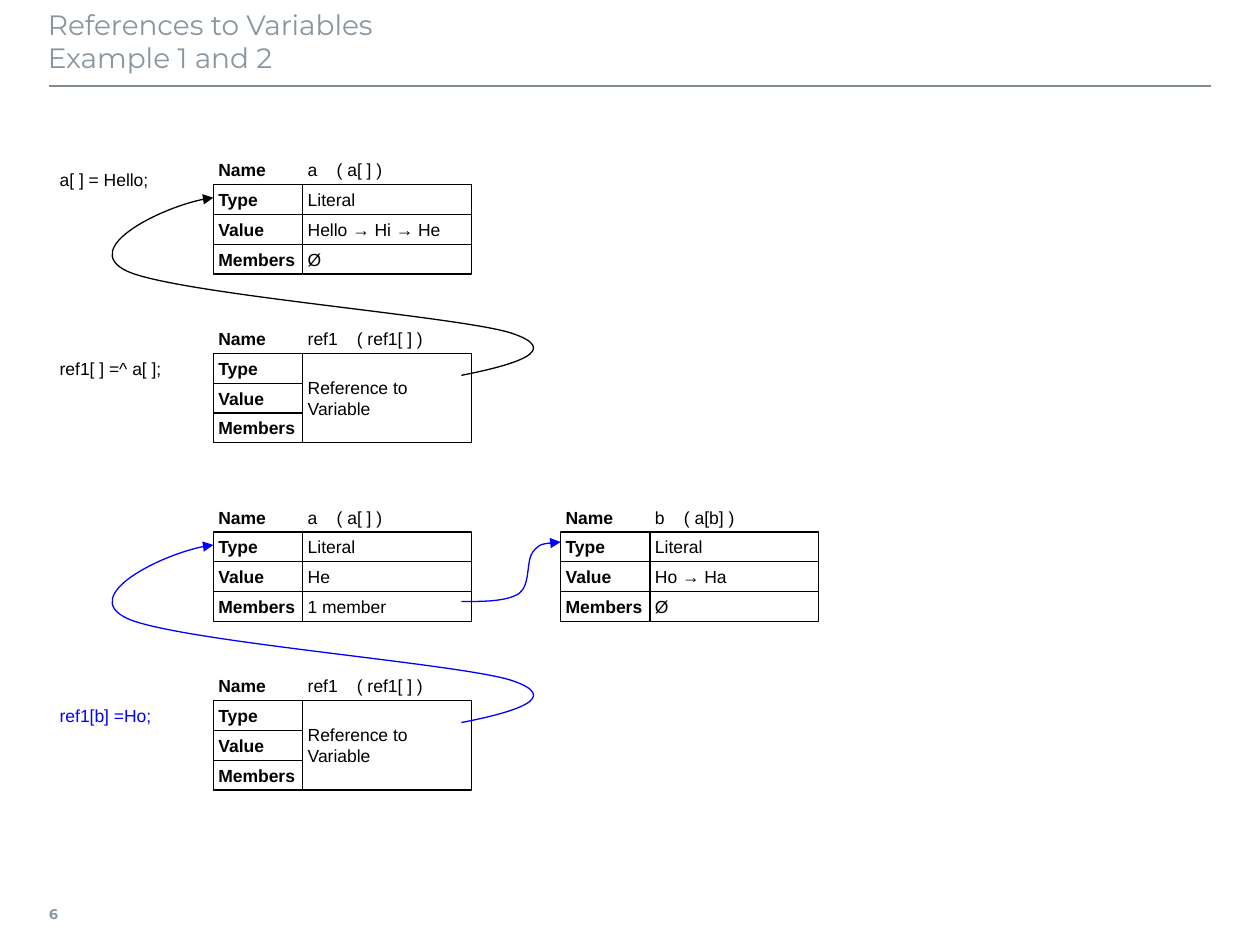
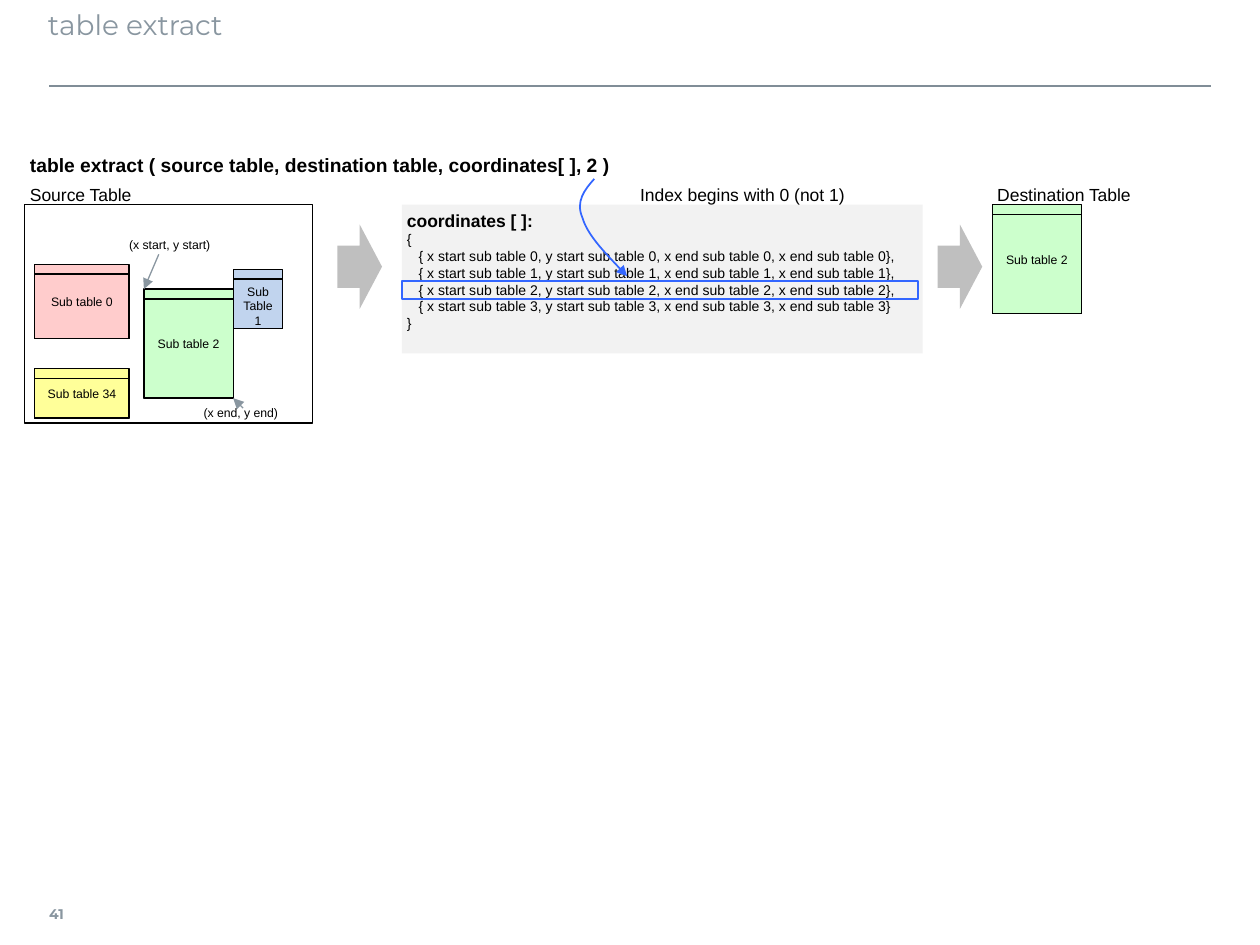
import pptx
import pptx.dml.color
import pptx.enum.shapes
import pptx.enum.text
import pptx.oxml
import pptx.oxml.ns
import pptx.util
from lxml import etree

RGBColor = pptx.dml.color.RGBColor
Inches = pptx.util.Inches
Align = pptx.enum.text.PP_ALIGN
Anchor = pptx.enum.text.MSO_ANCHOR
Preset = pptx.enum.shapes.MSO_SHAPE
qn = pptx.oxml.ns.qn

BLACK = RGBColor(0x00, 0x00, 0x00)
BLUE = RGBColor(0x00, 0x00, 0xFF)
MARK_BLUE = RGBColor(0x33, 0x66, 0xFF)
TITLE_GREY = RGBColor(0x89, 0x96, 0xA0)
RULE_GREY = RGBColor(0x80, 0x8D, 0x97)
ARROW_GREY = RGBColor(0xBF, 0xBF, 0xBF)
CODE_GREY = RGBColor(0xF2, 0xF2, 0xF2)
PINK = RGBColor(0xFF, 0xCC, 0xCC)
GREEN = RGBColor(0xCC, 0xFF, 0xCC)
PALE_BLUE = RGBColor(0xC1, 0xD4, 0xEE)
YELLOW = RGBColor(0xFF, 0xFF, 0x99)

# Grid of 2 mm cells, counted from a small margin
CELL = pptx.util.Mm(2)
LEFT, TOP = Inches(0.04), Inches(0.05)
KEY_COLS, VALUE_COLS, ROW = 9, 17, 3

# Bezier points from a reference up to its variable, rows from the upper record
REFERENCE_LOOP = [(46, 22.2), (51.1, 21.2), (56.5, 19.7), (50.9, 17.9),
                  (45.3, 16.2), (17.3, 14), (12.3, 11.7),
                  (7.4, 9.4), (16.8, 4.7), (21, 4.3)]
MEMBER_CURVE = [(46, 60), (48.3, 60), (50.5, 60), (51.8, 59.2),
                (53, 58.3), (52.5, 55.9), (53.2, 55),
                (53.9, 54.1), (55, 54.1), (56, 54)]
INDEX_CURVE = [(59.4, 17.4), (58.4, 18.5), (57.5, 19.7), (58.2, 21.3),
               (58.7, 23), (60.7, 25.1), (62.7, 27.2)]


def grid(col, row):
    return round(LEFT + col * CELL), round(TOP + row * CELL)


def bezier(p0, p1, p2, p3, t):
    s = 1 - t
    return tuple(round(s**3 * a + 3 * s * s * t * b + 3 * s * t * t * c + t**3 * d)
                 for a, b, c, d in zip(p0, p1, p2, p3))


class Deck:
    """Holds the style and the slide being filled."""

    def __init__(self):
        self.show = pptx.Presentation()
        self.show.slide_width, self.show.slide_height = Inches(10), Inches(7.5)
        self.slide = None

    def share(self, x, y):
        return round(x * self.show.slide_width), round(y * self.show.slide_height)

    def new_slide(self, title, number):
        """Start a slide with its title, rule and page number."""
        self.slide = self.show.slides.add_slide(self.show.slide_layouts[5])
        self.rule(self.share(0.039, 0.091), self.share(0.961, 0.091), RULE_GREY, 1)
        page = self.slide.shapes.add_textbox(
            *self.share(0.039, 0.941), *self.share(0.035, 0.052))
        self.set_text(page, [number], 8, TITLE_GREY, True, font="Montserrat",
                      insets=(0, 0.05, 0.08, 0.05))
        heading = self.slide.shapes.title
        heading.left, heading.top = self.share(0.038, 0.001)
        heading.width, heading.height = self.share(0.921, 0.084)
        self.set_text(heading, [title], 16, TITLE_GREY, font="Montserrat",
                      anchor=Anchor.TOP, insets=(0, 0.05, 0.1, 0.05), wrap=True)

    def set_text(self, holder, lines, size=10, color=BLACK, bold=False, font="Arial",
                 align=Align.LEFT, anchor=Anchor.MIDDLE, insets=(0.04,) * 4,
                 wrap=False, tab=None):
        frame = holder.text_frame
        frame.auto_size = pptx.enum.text.MSO_AUTO_SIZE.NONE
        frame.word_wrap = wrap
        frame.vertical_anchor = anchor
        (frame.margin_left, frame.margin_top,
         frame.margin_right, frame.margin_bottom) = map(Inches, insets)
        for index, line in enumerate(lines):
            paragraph = frame.add_paragraph() if index else frame.paragraphs[0]
            paragraph.text = line
            paragraph.alignment = align
            if tab:
                stops = etree.SubElement(paragraph._p.get_or_add_pPr(), qn("a:tabLst"))
                etree.SubElement(stops, qn("a:tab"), pos=str(Inches(tab)), algn="l")
            paragraph.font.name = font
            paragraph.font.size = pptx.util.Pt(size)
            paragraph.font.bold = bold
            paragraph.font.color.rgb = color

    def label(self, col, row, cols, rows, text, **style):
        box = self.slide.shapes.add_textbox(
            *grid(col, row), round(cols * CELL), round(rows * CELL))
        self.set_text(box, [text], **style)

    def block(self, col, row, cols, rows, lines=(), fill=None, line=BLACK,
              weight=0.75, preset=Preset.RECTANGLE, **style):
        shape = self.slide.shapes.add_shape(
            preset, *grid(col, row), round(cols * CELL), round(rows * CELL))
        self.paint(shape, line, weight, fill)
        if lines:
            self.set_text(shape, lines, **style)
        return shape

    def paint(self, shape, line, weight, fill=None):
        shape.shadow.inherit = False
        if fill is None:
            shape.fill.background()
        else:
            shape.fill.solid()
            shape.fill.fore_color.rgb = fill
        if line is None:
            shape.line.fill.background()
        else:
            shape.line.color.rgb = line
            shape.line.width = pptx.util.Pt(weight)

    def arrowhead(self, shape):
        etree.SubElement(shape.line._get_or_add_ln(), qn("a:tailEnd"), type="triangle")

    def rule(self, start, end, color, weight, arrow=False):
        line = self.slide.shapes.add_connector(
            pptx.enum.shapes.MSO_CONNECTOR.STRAIGHT, *start, *end)
        line.line.color.rgb = color
        line.line.width = pptx.util.Pt(weight)
        if arrow:
            self.arrowhead(line)
        etree.SubElement(line._element.spPr, qn("a:effectLst"))

    def curve(self, points, color, weight=0.75, from_row=0):
        """Draw joined cubic curves ending in an arrowhead."""
        points = [grid(col, row + from_row) for col, row in points]
        pieces = [points[i:i + 4] for i in range(0, len(points) - 1, 3)]
        # Points along the curve give the shape its true extents
        trace = [bezier(*piece, step / 20) for piece in pieces for step in range(1, 21)]
        builder = self.slide.shapes.build_freeform(*points[0])
        builder.add_line_segments(trace, close=False)
        shape = builder.convert_to_shape()
        outline = shape._element.find(".//" + qn("a:path"))
        for segment in outline.findall(qn("a:lnTo")):
            outline.remove(segment)
        for piece in pieces:
            cubic = etree.SubElement(outline, qn("a:cubicBezTo"))
            for x, y in piece[1:]:
                etree.SubElement(cubic, qn("a:pt"),
                                 x=str(x - shape.left), y=str(y - shape.top))
        self.paint(shape, color, weight)
        self.arrowhead(shape)

    def record(self, col, row, name, access, values, tab=0.23):
        """Draw a variable: its name above, then type, value and members."""
        value_col = col + KEY_COLS
        self.label(col, row, KEY_COLS, ROW, "Name", bold=True)
        self.label(value_col, row, VALUE_COLS, ROW, f"{name}\t{access}", tab=tab)
        for index, key in enumerate(["Type", "Value", "Members"], 1):
            self.block(col, row + index * ROW, KEY_COLS, ROW, [key], bold=True)
        if values:
            for index, value in enumerate(values, 1):
                self.block(value_col, row + index * ROW, VALUE_COLS, ROW, [value])
        else:
            self.block(value_col, row + ROW, VALUE_COLS, 3 * ROW,
                       ["Reference to", "Variable"])

    def sub_table(self, col, row, cols, rows, lines, fill, inset_top=0.04):
        """Draw a small table with a one-row header strip."""
        self.block(col, row, cols, rows, lines, fill, size=7, align=Align.CENTER,
                   insets=(0.04, inset_top, 0.04, 0.04))
        self.block(col, row + 1, cols, rows - 1)


def references_slide(deck):
    deck.new_slide("References to Variables\vExample 1 and 2", "6")

    # Example 1
    deck.label(5, 16, 12, ROW, "a[ ] = Hello;")
    deck.record(21, 15, "a", "( a[ ] )", ["Literal", "Hello → Hi → He", "Ø"])
    deck.label(5, 35, 12, ROW, "ref1[ ] =^ a[ ];")
    deck.record(21, 32, "ref1", "( ref1[ ] )", None, tab=0.39)
    deck.curve(REFERENCE_LOOP, BLACK, from_row=15)

    # Example 2
    deck.record(21, 50, "a", "( a[ ] )", ["Literal", "He", "1 member"])
    deck.record(21, 67, "ref1", "( ref1[ ] )", None, tab=0.39)
    deck.curve(REFERENCE_LOOP, BLUE, from_row=50)
    deck.label(5, 70, 12, ROW, "ref1[b] =Ho;", color=BLUE)
    deck.record(56, 50, "b", "( a[b] )", ["Literal", "Ho → Ha", "Ø"])
    deck.curve(MEMBER_CURVE, BLUE)


def extract_slide(deck):
    deck.new_slide("table extract", "41")
    deck.label(2, 15, 15, 2, "table extract ( source table, destination table, "
               "coordinates[ ], 2 )", size=11, bold=True)

    # Source table with its sub tables
    deck.label(2, 18, 15, 2, "Source Table")
    deck.block(2, 20, 29, 22)
    deck.sub_table(3, 26, 9.5, 7.5, ["Sub table 0"], PINK)
    deck.sub_table(14, 28.5, 9, 11, ["Sub table 2"], GREEN)
    deck.sub_table(23, 26.5, 5, 6, ["Sub", "Table", "1"], PALE_BLUE, inset_top=0.15)
    deck.sub_table(3, 36.5, 9.5, 5, ["Sub table 34"], YELLOW)
    deck.label(12, 23, 11.5, 2, "(x start, y start)", size=7)
    deck.rule(grid(15.5, 25), grid(14, 28.5), TITLE_GREY, 0.75, arrow=True)
    deck.rule(grid(24, 40.5), grid(23, 39.5), TITLE_GREY, 0.75, arrow=True)
    deck.label(19.5, 40, 9, 2, "(x end, y end)", size=7)

    # Coordinates list
    entries = ",\n".join(
        f"   {{ x start sub table {n}, y start sub table {n}, "
        f"x end sub table {n}, x end sub table {n}}}" for n in range(4))
    code = deck.block(40, 20, 52.5, 15,
                      ["coordinates [ ]:", "{", *entries.split("\n"), "}"],
                      CODE_GREY, None, size=8, anchor=Anchor.TOP)
    code_heading = code.text_frame.paragraphs[0].font
    code_heading.size, code_heading.bold = pptx.util.Pt(10), True

    # Destination table
    deck.sub_table(99.5, 20, 9, 11, ["Sub table 2"], GREEN)
    deck.label(99.5, 18, 15, 2, "Destination Table")

    # Flow arrows, chosen entry and index pointer
    for col in (33.5, 94):
        deck.block(col, 22, 4.5, 8.5, fill=ARROW_GREY, line=None,
                   preset=Preset.RIGHT_ARROW)
    deck.block(40, 27.7, 52, 1.8, line=MARK_BLUE, weight=1)
    deck.curve(INDEX_CURVE, MARK_BLUE, weight=1)
    deck.label(63.5, 18, 15, 2, "Index begins with 0 (not 1)")


def main():
    deck = Deck()
    references_slide(deck)
    extract_slide(deck)
    deck.show.save("out.pptx")


if __name__ == "__main__":
    main()
